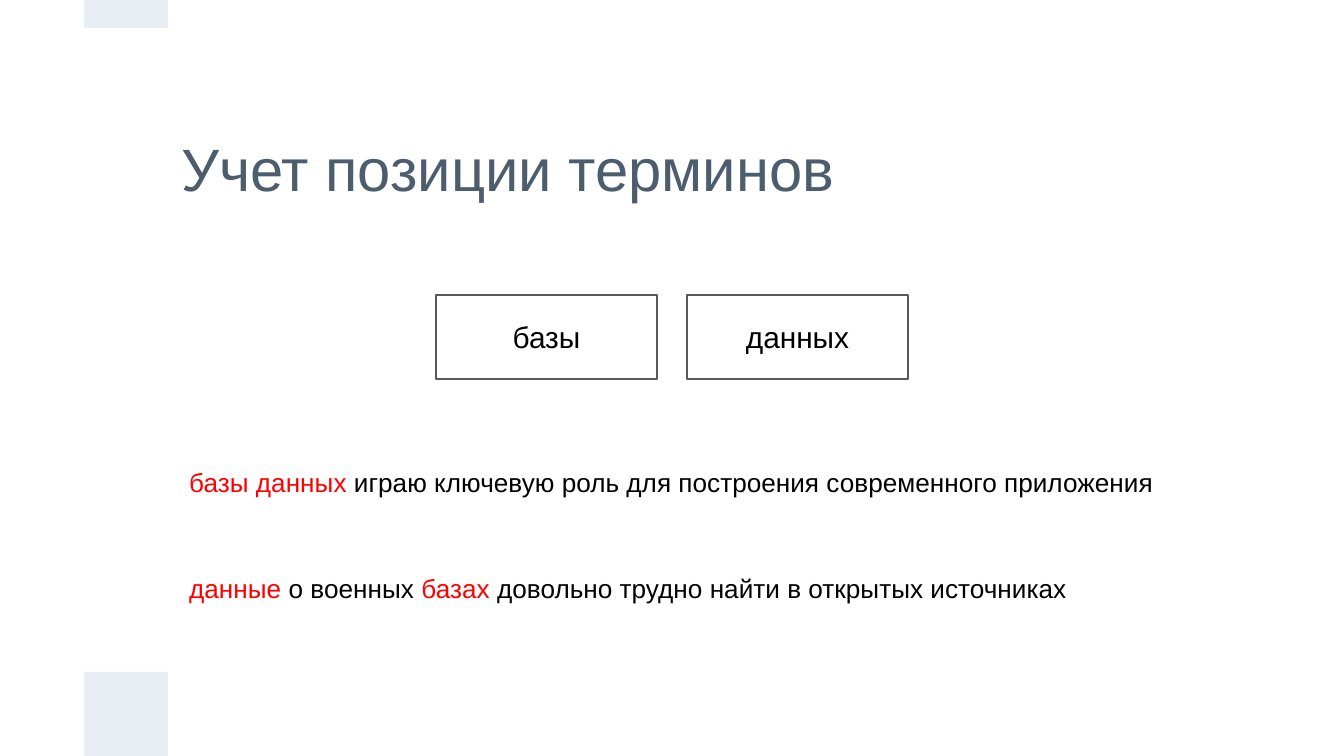
from pptx import Presentation
from pptx import util as u
from pptx.dml.color import RGBColor
from pptx.enum import shapes, text

WIDTH, HEIGHT = 1344, 756
SCALE = u.Inches(10) / WIDTH

HEADING = "Учет позиции терминов"
TERMS = ["базы", "данных"]
EXAMPLES = [
    [("базы данных", True),
     (" играю ключевую роль для построения современного приложения", False)],
    [("данные", True), (" о военных ", False), ("базах", True),
     (" довольно трудно найти в открытых источниках", False)],
]
MARKERS = [(84, 672, 84, 84), (84, 0, 84, 28)]

SLATE, PALE, GREY, BLACK, RED = "4C5D6E", "E9EDF4", "595959", "000000", "FF0000"


def px(value):
    return u.Emu(round(value * SCALE))


def box(*lengths):
    return [px(length) for length in lengths]


def colour(code):
    return RGBColor.from_string(code)


def style(run, size, code):
    run.font.name = "Arial"
    run.font.size = u.Pt(size)
    run.font.color.rgb = colour(code)


def set_frame(frame, anchor):
    frame.word_wrap = True
    frame.auto_size = text.MSO_AUTO_SIZE.NONE
    frame.vertical_anchor = anchor
    frame.margin_left = frame.margin_right = u.Inches(0.1)
    frame.margin_top = frame.margin_bottom = u.Inches(0.1)


def add_rectangle(slide, *lengths):
    rectangle = slide.shapes.add_shape(shapes.MSO_SHAPE.RECTANGLE, *box(*lengths))
    rectangle.shadow.inherit = False
    return rectangle


def add_heading(slide):
    heading = slide.shapes.title
    heading.left, heading.top, heading.width, heading.height = box(168, 84, 1008, 168)
    frame = heading.text_frame
    frame.text = HEADING
    set_frame(frame, text.MSO_ANCHOR.MIDDLE)
    frame.paragraphs[0].alignment = text.PP_ALIGN.LEFT
    style(frame.paragraphs[0].runs[0], 32, SLATE)


def add_markers(slide):
    for place in MARKERS:
        marker = add_rectangle(slide, *place)
        marker.fill.solid()
        marker.fill.fore_color.rgb = colour(PALE)
        marker.line.fill.background()


def add_terms(slide):
    width, gap = 221, 30
    left = (WIDTH - len(TERMS) * width - (len(TERMS) - 1) * gap) / 2
    for i, word in enumerate(TERMS):
        term = add_rectangle(slide, left + i * (width + gap), 295, width, 84)
        term.fill.background()
        term.line.color.rgb = colour(GREY)
        term.line.width = u.Pt(0.75)
        frame = term.text_frame
        frame.text = word
        set_frame(frame, text.MSO_ANCHOR.MIDDLE)
        frame.paragraphs[0].alignment = text.PP_ALIGN.CENTER
        style(frame.paragraphs[0].runs[0], 16, BLACK)


def add_examples(slide):
    for i, pieces in enumerate(EXAMPLES):
        example = slide.shapes.add_textbox(*box(176, 453 + i * 106, 1077, 70))
        set_frame(example.text_frame, text.MSO_ANCHOR.TOP)
        for words, matched in pieces:
            run = example.text_frame.paragraphs[0].add_run()
            run.text = words
            style(run, 14, RED if matched else BLACK)


def main():
    deck = Presentation()
    deck.slide_width, deck.slide_height = px(WIDTH), px(HEIGHT)
    slide = deck.slides.add_slide(deck.slide_layouts[5])
    add_heading(slide)
    add_markers(slide)
    add_terms(slide)
    add_examples(slide)
    deck.save("out.pptx")


if __name__ == "__main__":
    main()
